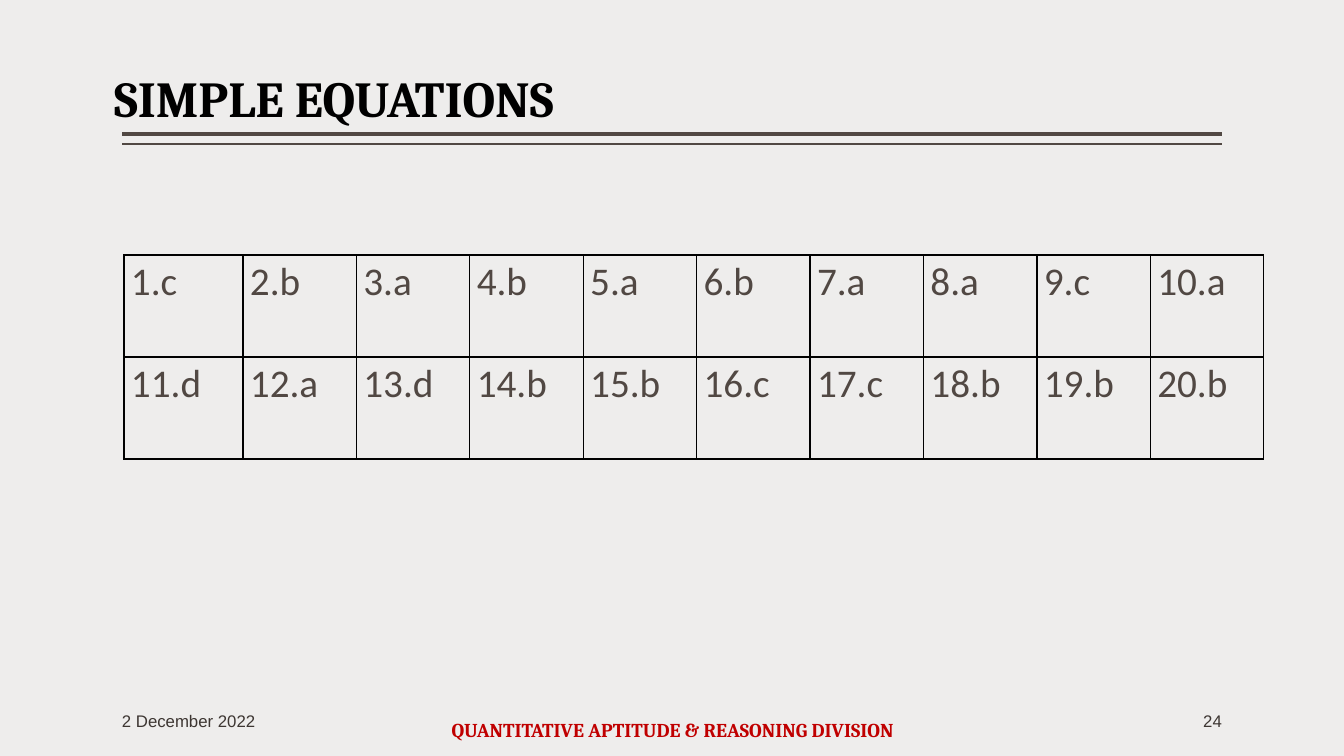
from lxml import etree
from pptx import Presentation
from pptx import util as u
from pptx.dml.color import RGBColor
from pptx.enum import shapes, text
from pptx.oxml import parse_xml
from pptx.oxml.ns import nsdecls, qn

BLACK = RGBColor(0, 0, 0)
BROWN = RGBColor(0x51, 0x48, 0x43)
DARK = RGBColor(0x3D, 0x36, 0x32)
RED = RGBColor(0xC0, 0, 0)
PAPER = RGBColor(0xEE, 0xED, 0xEC)
LEFT, MID, RIGHT = text.PP_ALIGN.LEFT, text.PP_ALIGN.CENTER, text.PP_ALIGN.RIGHT

TITLE = "SIMPLE EQUATIONS"
KEYS = "cbababaaca", "dadbbccbbb"
RULES = (134, 3), (144, 1)
FOOTS = [
    ("QUANTITATIVE APTITUDE & REASONING DIVISION",
     (324, 710, 698, 40), MID, ("Cambria", 14, RED, True)),
    ("2 December 2022", (122, 701, 202, 40), LEFT, ("Arial", 12, DARK, False)),
    ("24", (1020, 701, 202, 40), RIGHT, ("Arial", 12, DARK, False)),
]
WIDE, FIRST, HIGH = 1140, 119, 102


def px(n):
    return u.Emu(round(n * 914400 / 100.8))


def style(para, name, size, tone, bold):
    for run in para.runs:
        font = run.font
        font.name, font.size, font.bold = name, u.Pt(size), bold
        font.color.rgb = tone


def fit(frame, words, anchor, align, look):
    frame.text = words
    frame.word_wrap = True
    frame.auto_size = text.MSO_AUTO_SIZE.NONE
    frame.vertical_anchor = anchor
    frame.margin_left = frame.margin_right = 0
    frame.margin_top = frame.margin_bottom = px(5)
    para = frame.paragraphs[0]
    para.alignment = align
    style(para, *look)
    return para


def edge(cell):
    props = cell._tc.get_or_add_tcPr()
    for i, side in enumerate("LRTB"):
        props.insert(i, parse_xml(
            f'<a:ln{side} {nsdecls("a")} w="12700"><a:solidFill>'
            f'<a:srgbClr val="{BLACK}"/></a:solidFill></a:ln{side}>'))


def main():
    deck = Presentation()
    deck.slide_width, deck.slide_height = px(1344), px(756)
    slide = deck.slides.add_slide(deck.slide_layouts[5])
    slide.background.fill.solid()
    slide.background.fill.fore_color.rgb = PAPER

    for y, width in RULES:
        rule = slide.shapes.add_connector(
            shapes.MSO_CONNECTOR.STRAIGHT, px(1222), px(y), px(122), px(y))
        rule.line.color.rgb = BROWN
        rule.line.width = u.Pt(width)
        etree.SubElement(rule._element.spPr, qn("a:effectLst"))

    head = slide.shapes.title
    head.left, head.top, head.width, head.height = map(px, (114, 2, 1033, 131))
    para = fit(head.text_frame, TITLE, text.MSO_ANCHOR.BOTTOM, LEFT,
               ("Cambria", 36, BLACK, True))
    para.line_spacing = 0.9

    for words, area, align, look in FOOTS:
        box = slide.shapes.add_textbox(*map(px, area))
        fit(box.text_frame, words, text.MSO_ANCHOR.MIDDLE, align, look)

    count = len(KEYS[0])
    grid = slide.shapes.add_table(
        len(KEYS), count, px(124), px(255), px(WIDE), px(HIGH * len(KEYS))).table
    grid.first_row = grid.horz_banding = False
    for c, col in enumerate(grid.columns):
        col.width = px((WIDE - FIRST) / (count - 1) if c else FIRST)
    for r, keys in enumerate(KEYS):
        grid.rows[r].height = px(HIGH)
        for c, key in enumerate(keys):
            cell = grid.cell(r, c)
            cell.text_frame.text = f"{r * count + c + 1}.{key}"
            cell.margin_left = cell.margin_right = px(7)
            cell.margin_top = cell.margin_bottom = 0
            cell.fill.background()
            edge(cell)
            para = cell.text_frame.paragraphs[0]
            para.line_spacing, para.space_after = 1.07, u.Pt(8)
            style(para, "Calibri", 28, BROWN, False)

    deck.save("out.pptx")


if __name__ == "__main__":
    main()
